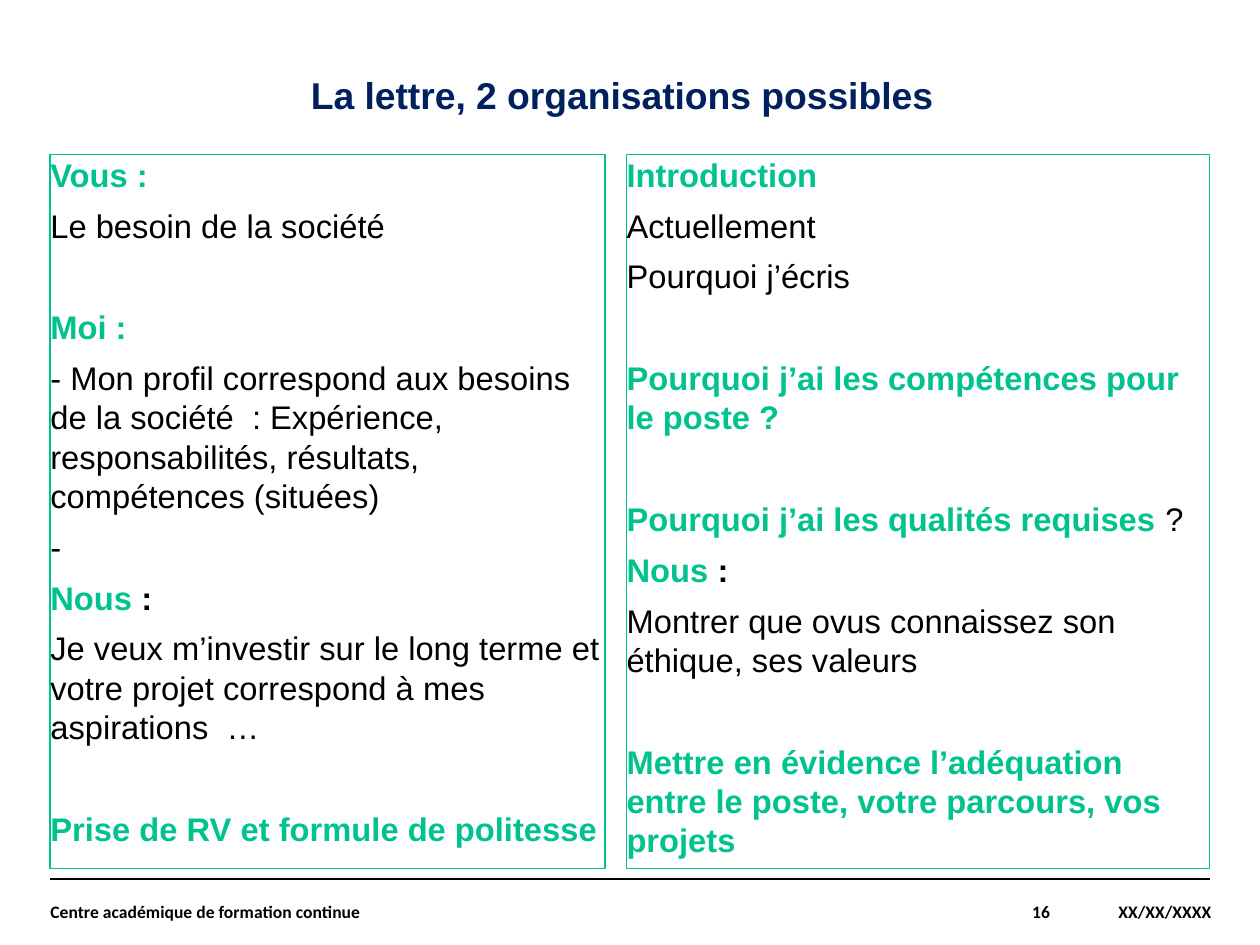
import pptx
import pptx.util
import pptx.dml.color
import pptx.enum.text
import pptx.enum.shapes
import pptx.oxml
from pptx.util import Inches, Pt

GREEN, NAVY, BLACK = "00C28F", "002060", "000000"
ALIGN = pptx.enum.text.PP_ALIGN
ANCHOR = pptx.enum.text.MSO_ANCHOR
GAP = 21.8  # points above a paragraph that opens a new block

# A run is (text, colour, bold); a paragraph is (space before, runs)
def head(text):
    return (text, GREEN, True)


def body(text, bold=False):
    return (text, BLACK, bold)


NOUS = (0, [head("Nous "), body(": ", True)])
LEFT = [
    (0, [head("Vous : ")]),
    (0, [body("Le besoin de la société")]),
    (GAP, [head("Moi : ")]),
    (0, [body("- Mon profil correspond aux besoins de la société  : Expérience, "
              "responsabilités, résultats, compétences (situées)")]),
    (0, [body("- ")]),
    NOUS,
    (0, [body("Je veux m’investir sur le long terme et votre projet correspond "
              "à mes aspirations  …")]),
    (GAP, [head("Prise de RV et formule de politesse")]),
]
RIGHT = [
    (0, [head("Introduction")]),
    (0, [body("Actuellement")]),
    (0, [body("Pourquoi j’écris")]),
    (GAP, [head("Pourquoi j’ai les compétences pour le poste ?")]),
    (GAP, [head("Pourquoi j’ai les qualités requises "), body("? ")]),
    NOUS,
    (0, [body("Montrer que ovus connaissez son éthique, ses valeurs")]),
    (GAP, [head("Mettre en évidence l’adéquation entre le poste, votre parcours, "
                "vos projets")]),
]
COLUMNS = [(0.3, 3.3, LEFT), (3.73, 3.47, RIGHT)]  # left, width, paragraphs
FOOTER = [  # left, width, text, alignment
    (0.3, 4.84, "Centre académique de formation continue", ALIGN.LEFT),
    (5.14, 1.11, "16", ALIGN.RIGHT),
    (6.25, 0.96, "XX/XX/XXXX", ALIGN.RIGHT),
]
COLUMN_TOP, COLUMN_HEIGHT = 0.92, 4.25
FOOTER_TOP, FOOTER_HEIGHT = 5.23, 0.39

# Slide in 4:3 format
prs = pptx.Presentation()
prs.slide_width = Inches(7.5)
prs.slide_height = Inches(7.5 * 3 / 4)
s = prs.slides.add_slide(prs.slide_layouts[6])


def rgb(hex_colour):
    return pptx.dml.color.RGBColor.from_string(hex_colour)


def add_text(left, top, width, height, paragraphs, size, font="Arial",
             align=ALIGN.LEFT, anchor=ANCHOR.TOP, spacing=1.0, after=0):
    sp = s.shapes.add_textbox(*map(Inches, (left, top, width, height)))
    tf = sp.text_frame
    tf.word_wrap = True
    tf.vertical_anchor = anchor
    tf.margin_left = tf.margin_right = tf.margin_top = tf.margin_bottom = 0
    for i, (before, runs) in enumerate(paragraphs):
        p = tf.add_paragraph() if i else tf.paragraphs[0]
        p.alignment, p.line_spacing = align, spacing
        p.space_before, p.space_after = Pt(before), Pt(after)
        for text, colour, bold in runs:
            r = p.add_run()
            r.text = text
            r.font.name, r.font.size, r.font.bold = font, Pt(size), bold
            r.font.color.rgb = rgb(colour)
    return sp


# Title
add_text(0.28, 0.46, 6.91, 0.33,
         [(0, [("La lettre, 2 organisations possibles ", NAVY, True)])],
         16, align=ALIGN.CENTER, spacing=0.9)

# Two framed columns
for left, width, paragraphs in COLUMNS:
    sp = add_text(left, COLUMN_TOP, width, COLUMN_HEIGHT, paragraphs, 14, after=5)
    sp.line.color.rgb = rgb(GREEN)
    sp.line.width = Pt(0.75)

# Footer rule and texts
rule = s.shapes.add_connector(pptx.enum.shapes.MSO_CONNECTOR.STRAIGHT,
                              Inches(0.3), Inches(FOOTER_TOP),
                              Inches(7.2), Inches(FOOTER_TOP))
rule.line.color.rgb = rgb(BLACK)
rule.line.width = Pt(0.8)
rule._element.spPr.append(pptx.oxml.parse_xml(
    '<a:effectLst xmlns:a="http://schemas.openxmlformats.org/drawingml/2006/main"/>'))
for left, width, text, align in FOOTER:
    add_text(left, FOOTER_TOP, width, FOOTER_HEIGHT, [(0, [body(text, True)])],
             7.5, "Calibri", align, ANCHOR.MIDDLE)

prs.save("out.pptx")
